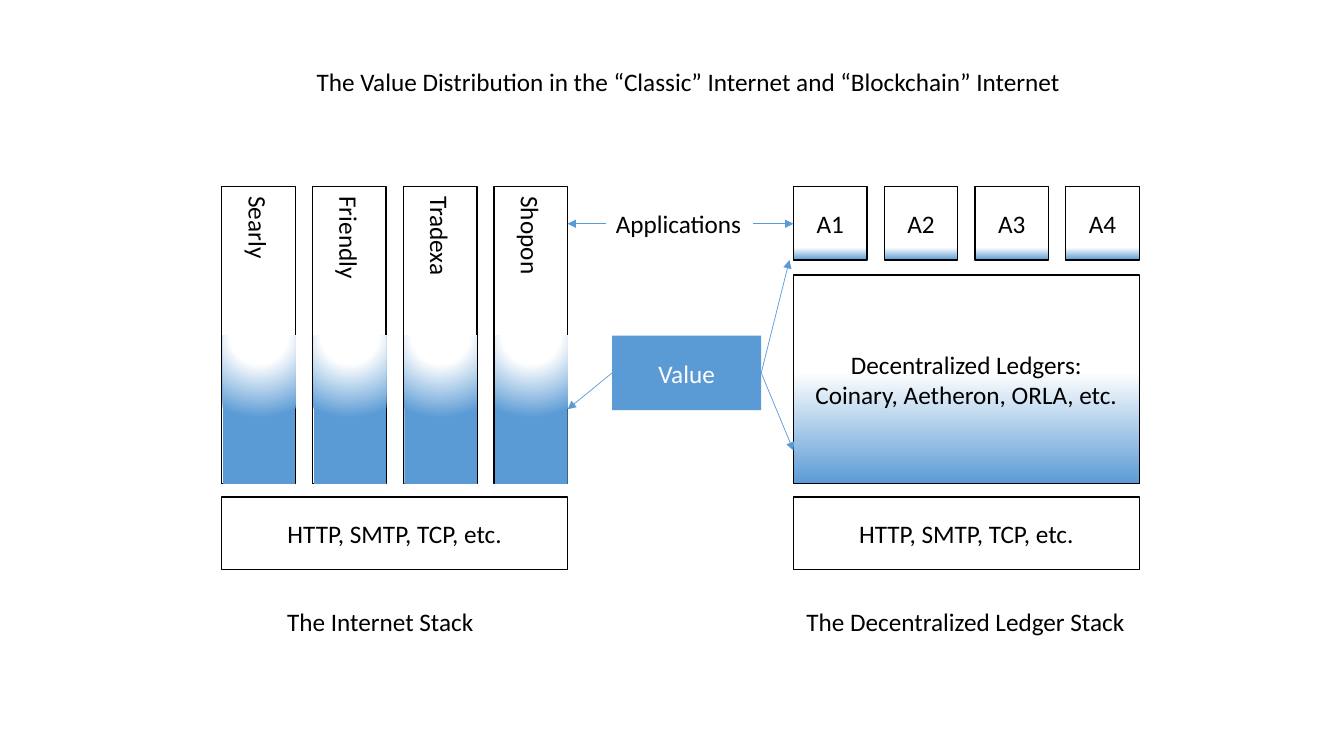
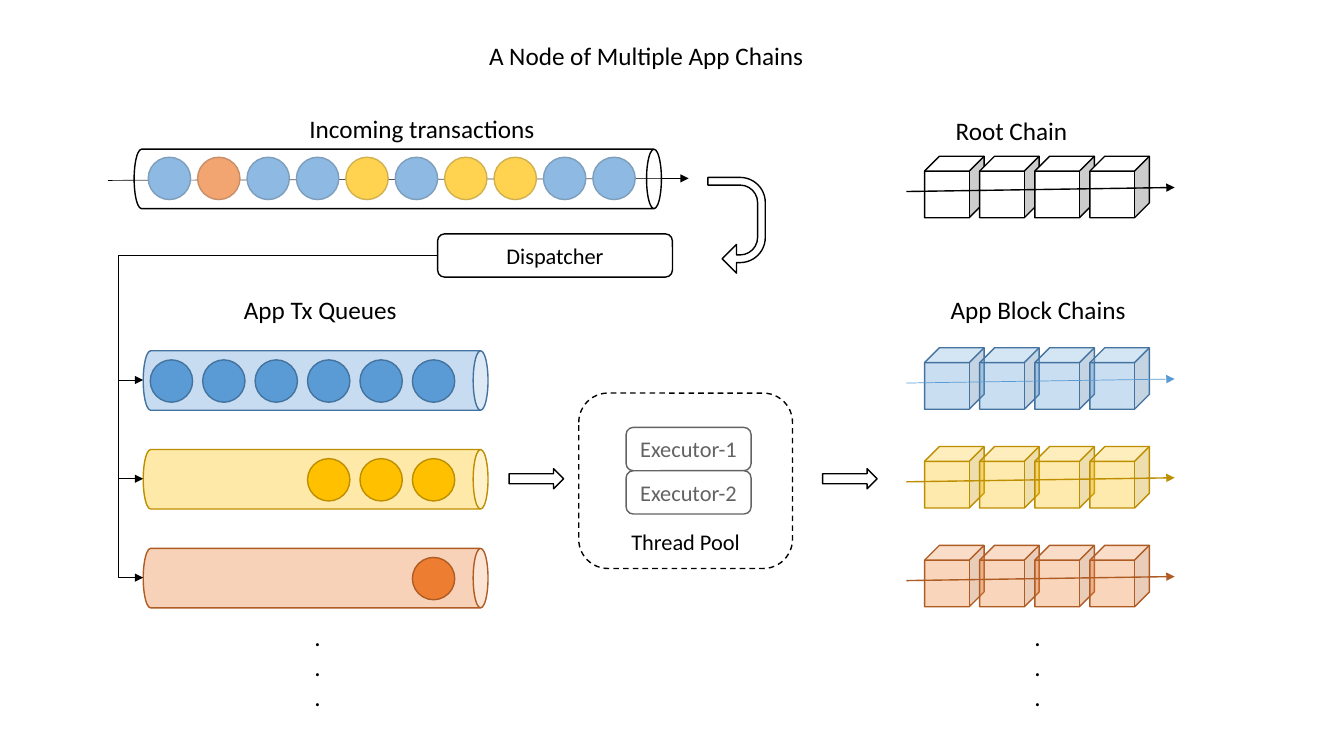
import pptx
import pptx.util
import pptx.dml.color
import pptx.enum.dml
import pptx.enum.shapes
import pptx.enum.text
import pptx.oxml
import pptx.oxml.ns
import lxml.etree

WIDE, HIGH = 13.33, 7.5
UNIT = pptx.util.Inches(1)
FONT = "Calibri"
INK = {"black": "000000", "white": "FFFFFF", "blue": "5B9BD5", "navy": "43739E",
       "gold": "FFC000", "ochre": "BD8E00", "orange": "ED7D31", "rust": "AF5C24"}
EDGE = {"blue": "navy", "gold": "ochre", "orange": "rust", "white": "black"}
KIND = pptx.enum.shapes.MSO_SHAPE
JOIN = pptx.enum.shapes.MSO_CONNECTOR
LEFT = pptx.enum.text.PP_ALIGN.LEFT
MID = pptx.enum.text.PP_ALIGN.CENTER
ANCHOR = pptx.enum.text.MSO_ANCHOR
FIT = pptx.enum.text.MSO_AUTO_SIZE
DOWN = '<a:lin ang="5400000" scaled="0"/>'
GLOW = '<a:path path="circle"><a:fillToRect l="50000" t="-80000" r="50000" b="180000"/></a:path>'


def grid(*cells):
    """Turn grid cells into slide lengths."""
    return [round(cell * UNIT) for cell in cells]


def tint(name):
    """Look up a colour."""
    return pptx.dml.color.RGBColor.from_string(INK[name])


def sub(parent, tag, **attrs):
    """Append a drawing element."""
    return lxml.etree.SubElement(parent, pptx.oxml.ns.qn(tag), **attrs)


def write(frame, text, size=18, color="black", align=LEFT):
    """Fill a text frame in one style."""
    frame.text = text
    for para in frame.paragraphs:
        para.alignment = align
        para.font.name, para.font.size = FONT, pptx.util.Pt(size)
        para.font.color.rgb = tint(color)


def fade(shape, stop, course):
    """Blend a shape from white, held up to a stop, into blue."""
    marks = "".join(f'<a:gs pos="{pos * 1000}"><a:srgbClr val="{INK[name]}"/></a:gs>'
                    for pos, name in ((0, "white"), (stop, "white"), (100, "blue")))
    shape.fill.background()
    props = shape.element.spPr
    blank = props.find(pptx.oxml.ns.qn("a:noFill"))
    props.replace(blank, pptx.oxml.parse_xml(
        f'<a:gradFill {pptx.oxml.ns.nsdecls("a")} rotWithShape="1">'
        f'<a:gsLst>{marks}</a:gsLst>{course}</a:gradFill>'))


def block(slide, kind, box, fill="white", edge="black", text="", size=18,
          color="black", alpha=100, turn=False):
    """Draw a preset shape whose visible bounds are the box."""
    x, y, w, h = box
    if turn:
        x, y, w, h = x + (w - h) / 2, y + (h - w) / 2, h, w
    shape = slide.shapes.add_shape(kind, *grid(x, y, w, h))
    shape.rotation = 90 if turn else 0
    shape.shadow.inherit = False
    shape.fill.solid()
    shape.fill.fore_color.rgb = tint(fill)
    if alpha < 100:
        paint = shape.element.spPr.find(".//" + pptx.oxml.ns.qn("a:srgbClr"))
        sub(paint, "a:alpha", val=str(alpha * 1000))
    if edge:
        shape.line.color.rgb = tint(edge)
        shape.line.width = pptx.util.Pt(1)
    else:
        shape.line.fill.background()
    if text:
        write(shape.text_frame, text, size, color, MID)
        shape.text_frame.vertical_anchor = ANCHOR.MIDDLE
    return shape


def label(slide, x, y, w, text, h=0.4):
    """Place a loose caption."""
    note = slide.shapes.add_textbox(*grid(x, y, w, h))
    note.text_frame.word_wrap = False
    note.text_frame.auto_size = FIT.SHAPE_TO_FIT_TEXT
    write(note.text_frame, text)


def arrow(slide, start, end, color="black", width=0.5, kind=JOIN.STRAIGHT):
    """Draw a connector with a triangle at its end."""
    link = slide.shapes.add_connector(kind, *grid(*start, *end))
    link.line.color.rgb = tint(color)
    link.line.width = pptx.util.Pt(width)
    sub(link.element.spPr.find(pptx.oxml.ns.qn("a:ln")), "a:tailEnd", type="triangle")
    sub(link.element.spPr, "a:effectLst")
    return link


def begin(deck, text, box):
    """Add a titled slide."""
    slide = deck.slides.add_slide(deck.slide_layouts[5])
    title = slide.shapes.title
    title.left, title.top, title.width, title.height = grid(*box)
    write(title.text_frame, text)
    title.text_frame.word_wrap = True
    title.text_frame.auto_size = FIT.NONE
    title.text_frame.vertical_anchor = ANCHOR.TOP
    return slide


def base(slide, box):
    """Draw the protocol layer at the foot of a stack."""
    x, y, w, h = box
    block(slide, KIND.RECTANGLE, (x, y + h - 0.72, w, 0.72), text="HTTP, SMTP, TCP, etc.")


def classic(slide, box, names):
    """Draw the stack of tall application bars."""
    x, y, w, h = box
    bar, tall = 0.73, 2.95
    step = (w - bar) / (len(names) - 1)
    for i, name in enumerate(names):
        left = x + i * step
        block(slide, KIND.RECTANGLE, (left, y, bar, tall))
        long = 2.21
        tag = slide.shapes.add_textbox(*grid(left + (bar - long) / 2,
                                             y + (long - 0.4) / 2, long, 0.4))
        tag.rotation = 90
        tag.text_frame.word_wrap = True
        write(tag.text_frame, name)
        worth = block(slide, KIND.RECTANGLE,
                      (left + 0.01, y + tall / 2, bar - 0.01, tall / 2), edge=None)
        fade(worth, 35, GLOW)
    base(slide, box)


def ledger(slide, box, names):
    """Draw the stack of small applications on a thick ledger."""
    x, y, w, h = box
    side = 0.73
    step = (w - side) / (len(names) - 1)
    for i, name in enumerate(names):
        app = block(slide, KIND.RECTANGLE, (x + i * step, y, side, side), text=name)
        fade(app, 83, DOWN)
    core = block(slide, KIND.RECTANGLE, (x, y + 0.88, w, 2.07),
                 text="Decentralized Ledgers:\nCoinary, Aetheron, ORLA, etc.")
    fade(core, 46, DOWN)
    base(slide, box)


def middle(slide, box):
    """Link the two stacks to the notions between them."""
    x, y, w, h = box
    right, row = x + w, y + 0.37
    label(slide, x + 0.38, y + 0.17, 1.46, "Applications")
    arrow(slide, (x + 1.84, row), (right, row), "blue")
    arrow(slide, (x + 0.38, row), (x, row), "blue")
    near, far, level = x + 0.44, x + 1.92, y + 1.85
    block(slide, KIND.RECTANGLE, (near, level - 0.37, far - near, 0.74), "blue", None,
          "Value", color="white")
    for start, end in ((far, (right - 0.04, y + 0.73)), (far, (right, y + 2.62)),
                       (near, (x, y + 2.21))):
        arrow(slide, (start, level), end, "blue")


def balls(slide, box, colors, step):
    """Draw a row of transactions starting in the box."""
    x, y, w, h = box
    for i, color in enumerate(colors):
        if color:
            block(slide, KIND.OVAL, (x + i * step, y, w, h), color, EDGE[color])


def queue(slide, box, color, count, slots=6):
    """Draw a pipe with its last slots filled."""
    x, y, w, h = box
    block(slide, KIND.CAN, box, color, EDGE[color], alpha=34, turn=True)
    balls(slide, (x + 0.07, y + 0.09, 0.42, 0.42),
          [None] * (slots - count) + [color] * count, 0.52)


def chain(slide, box, color, alpha=32):
    """Draw four cubes threaded by an arrow."""
    x, y, w, h = box
    side = 0.59
    step = (w - 0.43 - side) / 3
    for i in range(4):
        block(slide, KIND.CUBE, (x + 0.18 + i * step, y, side, h), color, EDGE[color],
              alpha=alpha)
    thin = color == "blue"
    arrow(slide, (x, y + 0.35), (x + w, y + 0.31), color if thin else EDGE[color],
          0.5 if thin else 1)


def intake(slide, box):
    """Draw the pipe of mixed incoming transactions."""
    x, y, w, h = box
    label(slide, x + 1.64, y - 0.4, 2.46, "Incoming transactions")
    arrow(slide, (x - 0.26, y + 0.31), (x + w + 0.27, y + 0.29))
    mix = "blue orange blue blue gold blue gold gold blue blue".split()
    balls(slide, (x + 0.14, y + 0.08, 0.42, 0.42), mix, 0.49)
    block(slide, KIND.CAN, box, alpha=31, turn=True)


def sender(slide, box, ends):
    """Draw the dispatcher and its routes to the queues."""
    x, y, w, h = box
    block(slide, KIND.ROUNDED_RECTANGLE, box, text="Dispatcher", size=16)
    bend = block(slide, KIND.U_TURN_ARROW, (x + 2.68, y - 0.56, 0.57, 0.95), turn=True)
    for i, part in enumerate((0.134, 0.25, 0.25, 0.438, 0.75)):
        bend.adjustments[i] = part
    for end in ends:
        route = arrow(slide, (x, y + h / 2), end, kind=JOIN.ELBOW)
        form = route.element.spPr.find(pptx.oxml.ns.qn("a:prstGeom"))
        marks = form.find(pptx.oxml.ns.qn("a:avLst"))
        sub(marks, "a:gd", name="adj1", fmla="val 108500")


def pool(slide, box):
    """Draw the executors inside their veil, with arrows in and out."""
    x, y, w, h = box
    for i in range(2):
        block(slide, KIND.ROUNDED_RECTANGLE, (x + 0.47, y + 0.34 + i * 0.43, 1.24, 0.43),
              text=f"Executor-{i + 1}", size=16)
    veil = block(slide, KIND.ROUNDED_RECTANGLE, box, text="Thread Pool", size=16, alpha=39)
    veil.line.dash_style = pptx.enum.dml.MSO_LINE.DASH
    veil.text_frame.vertical_anchor = ANCHOR.BOTTOM
    for left in (x - 0.69, x + w + 0.3):
        block(slide, KIND.RIGHT_ARROW, (left, y + 0.75, 0.54, 0.2))


def value(deck):
    """Build the slide on value distribution."""
    slide = begin(deck, "The Value Distribution in the “Classic” Internet "
                  "and “Blockchain” Internet", (3.04, 0.61, 7.89, 0.4))
    top, wide, tall = 1.85, 3.43, 3.8
    near, far = 2.2, 7.87
    ledger(slide, (far, top, wide, tall), ["A1", "A2", "A3", "A4"])
    classic(slide, (near, top, wide, tall), ["Searly", "Friendly", "Tradexa", "Shopon"])
    middle(slide, (near + wide, top, far - near - wide, tall))
    label(slide, near + 0.55, top + 4.12, 2.07, "The Internet Stack")
    label(slide, far + 0.03, top + 4.12, 3.4, "The Decentralized Ledger Stack")


def node(deck):
    """Build the slide on a node of app chains."""
    slide = begin(deck, "A Node of Multiple App Chains", (4.75, 0.35, 3.52, 0.4))
    intake(slide, (1.33, 1.48, 5.23, 0.59))
    label(slide, 9.38, 1.09, 1.32, "Root Chain")
    chain(slide, (8.99, 1.55, 2.66, 0.61), "white", 100)
    label(slide, 2.32, 2.87, 1.74, "App Tx Queues")
    label(slide, 9.33, 2.87, 1.96, "App Block Chains")
    left, ends = 1.42, []
    for i, (color, count) in enumerate((("blue", 6), ("gold", 3), ("orange", 1))):
        top = 3.48 + i * 0.98
        queue(slide, (left, top, 3.42, 0.59), color, count)
        chain(slide, (8.99, top - 0.03, 2.66, 0.61), color)
        ends.append((left, top + 0.29))
    sender(slide, (4.34, 2.32, 2.33, 0.43), ends)
    pool(slide, (5.74, 3.9, 2.12, 1.74))
    for x in (3.02, 10.16):
        label(slide, x, 6.11, 0.27, ".\n.\n.", 1.31)


deck = pptx.Presentation()
deck.slide_width, deck.slide_height = grid(WIDE, HIGH)
value(deck)
node(deck)
deck.save("out.pptx")
